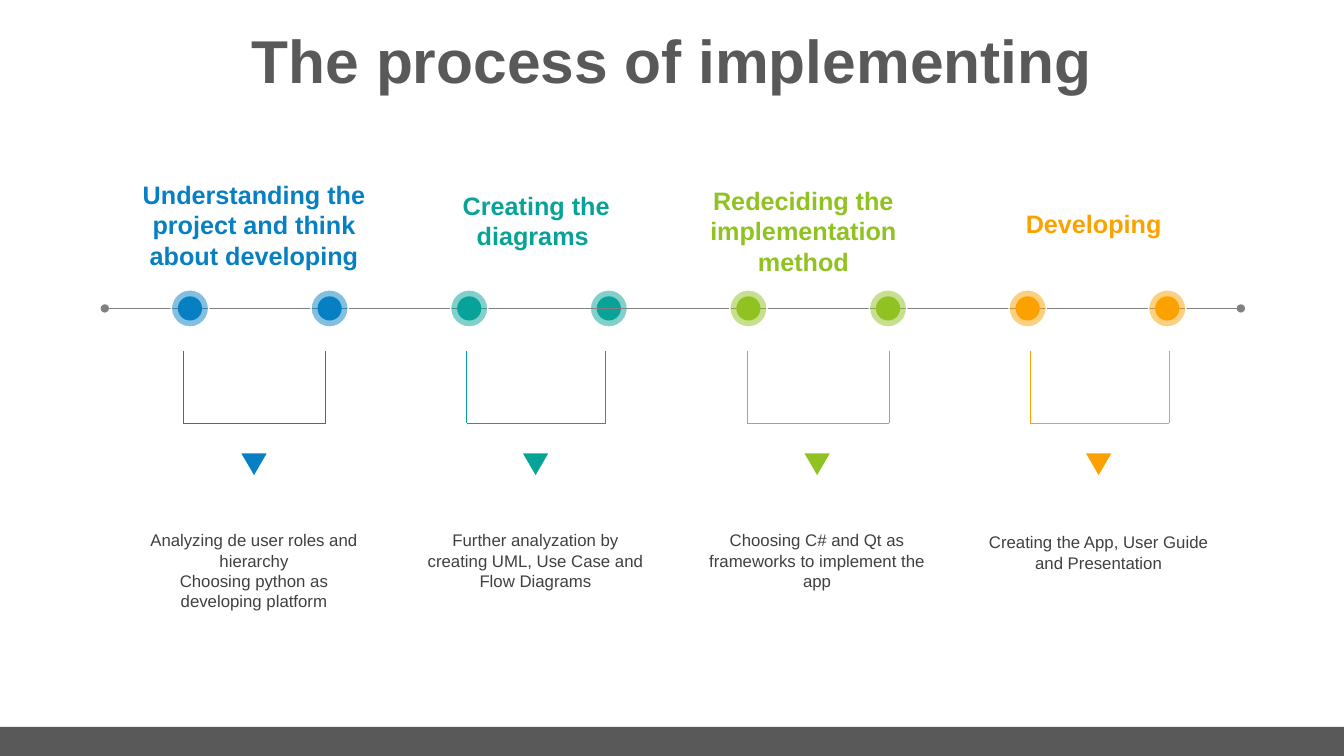
from lxml import etree
from pptx import Presentation
from pptx import util as u
from pptx.dml.color import RGBColor
from pptx.enum import shapes, text
from pptx.oxml import ns

BLUE = RGBColor(0x06, 0x80, 0xC3)
TEAL = RGBColor(0x07, 0xA3, 0x98)
GREEN = RGBColor(0x90, 0xC2, 0x21)
ORANGE = RGBColor(0xFB, 0xA2, 0x00)
DARK = RGBColor(0x59, 0x59, 0x59)
BODY = RGBColor(0x40, 0x40, 0x40)
GRAY = RGBColor(0x80, 0x80, 0x80)
WHITE = RGBColor(0xFF, 0xFF, 0xFF)

# The grid has ten columns and ten rows to the inch
CELL = u.Inches(0.1)
WIDTH, HEIGHT = 133.33, 75
STAGE_LEFT, STAGE_STEP, STAGE_WIDTH = 14, 27.93, 22.4
NODE_FIRST, NODE_STEP, AXIS = 18.85, 13.85, 30.6
HALO, DOT = 3.7, 2.4
BRACKET_TOP, BRACKET_BOTTOM = 34.8, 42
MARKER_TOP, MARKER_WIDTH, MARKER_HEIGHT = 44.9, 2.8, 2.4

# Colour, heading, heading position and height, bracket sides,
# description, description top and height
STAGES = [
    (BLUE, "Understanding the project and think about developing",
     (14, 17.3, 10.1), (18.2, 32.3),
     "Analyzing de user roles and hierarchy\nChoosing python as developing platform",
     (52.1, 9.1)),
    (TEAL, "Creating the diagrams ",
     (42, 18.4, 7.1), (46.3, 60.1),
     "Further analyzation by creating UML, Use Case and Flow Diagrams",
     (52.1, 7.1)),
    (GREEN, "Redeciding the implementation method",
     (68.5, 17.9, 10.1), (74.1, 88.2),
     "Choosing C# and Qt as frameworks to implement the app",
     (52.1, 7.1)),
    (ORANGE, "Developing",
     (97.3, 20.2, 4), (102.2, 116),
     "Creating the App, User Guide and Presentation",
     (52.3, 5)),
]


def grid(*cells):
    return [round(cell * CELL) for cell in cells]


class TimelineSlide:
    font = "Arial"

    def __init__(self, presentation):
        self.slide = presentation.slides.add_slide(presentation.slide_layouts[5])

    def format_text(self, frame, size, color, bold):
        for paragraph in frame.paragraphs:
            paragraph.alignment = text.PP_ALIGN.CENTER
            for run in paragraph.runs:
                run.font.name = self.font
                run.font.size = u.Pt(size)
                run.font.bold = bold
                run.font.color.rgb = color

    def title(self, words, left, top, width, height):
        shape = self.slide.shapes.title
        shape.left, shape.top, shape.width, shape.height = grid(left, top, width, height)
        frame = shape.text_frame
        frame.text = words
        frame.auto_size = text.MSO_AUTO_SIZE.NONE
        frame.vertical_anchor = text.MSO_ANCHOR.MIDDLE
        frame.paragraphs[0].line_spacing = 0.9
        self.format_text(frame, 43.2, DARK, True)

    def label(self, words, left, top, height, size, color, bold=False):
        box = self.slide.shapes.add_textbox(*grid(left, top, STAGE_WIDTH, height))
        frame = box.text_frame
        frame.word_wrap = True
        frame.margin_left = frame.margin_right = 0
        frame.auto_size = text.MSO_AUTO_SIZE.SHAPE_TO_FIT_TEXT
        frame.text = words
        self.format_text(frame, size, color, bold)

    def shape(self, kind, left, top, width, height, color, outlined=False, alpha=None):
        shape = self.slide.shapes.add_shape(kind, *grid(left, top, width, height))
        shape.shadow.inherit = False
        shape.fill.solid()
        shape.fill.fore_color.rgb = color
        if alpha is not None:
            fill_color = shape.fill._xPr.find(".//" + ns.qn("a:srgbClr"))
            etree.SubElement(fill_color, ns.qn("a:alpha"), val=str(alpha * 1000))
        if outlined:
            shape.line.color.rgb = WHITE
            shape.line.width = u.Pt(1)
        else:
            shape.line.fill.background()
        return shape

    def line(self, x1, y1, x2, y2, color, width, oval_ends=False):
        connector = self.slide.shapes.add_connector(
            shapes.MSO_CONNECTOR.STRAIGHT, *grid(x1, y1, x2, y2))
        connector.line.color.rgb = color
        connector.line.width = u.Pt(width)
        if oval_ends:
            outline = connector.line._get_or_add_ln()
            for end in ("a:headEnd", "a:tailEnd"):
                etree.SubElement(outline, ns.qn(end), type="oval")
        etree.SubElement(connector._element.spPr, ns.qn("a:effectLst"))

    def node(self, index):
        center = NODE_FIRST + index * NODE_STEP
        color = STAGES[index // 2][0]
        for size, outlined, alpha in ((HALO, True, 50), (DOT, False, None)):
            self.shape(shapes.MSO_SHAPE.OVAL, center - size / 2, AXIS - size / 2,
                       size, size, color, outlined, alpha)

    def bracket(self, left, right, color):
        for x in (left, right):
            self.line(x, BRACKET_TOP, x, BRACKET_BOTTOM, color, 0.5)
        self.line(right, BRACKET_BOTTOM, left, BRACKET_BOTTOM, color, 0.5)

    def marker(self, center, color):
        triangle = self.shape(shapes.MSO_SHAPE.ISOSCELES_TRIANGLE,
                              center - MARKER_WIDTH / 2, MARKER_TOP,
                              MARKER_WIDTH, MARKER_HEIGHT, color, outlined=True)
        triangle.rotation = 180


def main():
    presentation = Presentation()
    presentation.slide_width, presentation.slide_height = grid(WIDTH, HEIGHT)
    timeline = TimelineSlide(presentation)

    # Footer band and title
    timeline.shape(shapes.MSO_SHAPE.RECTANGLE, 0, 72.1, WIDTH, 2.9, DARK)
    timeline.title("The process of implementing", 0, 2.1, WIDTH, 8.5)

    # Axis runs over the second teal node and under the others
    node_under_axis = 3
    timeline.node(node_under_axis)
    timeline.line(10.4, AXIS, 123.1, AXIS, GRAY, 1.25, oval_ends=True)
    for index in range(2 * len(STAGES)):
        if index != node_under_axis:
            timeline.node(index)

    # Stages: heading, bracket, marker and description
    for index, stage in enumerate(STAGES):
        color, heading, heading_place, sides, description, (top, height) = stage
        left = STAGE_LEFT + index * STAGE_STEP
        timeline.label(heading, *heading_place, 18, color, bold=True)
        timeline.bracket(*sides, color)
        timeline.marker(left + STAGE_WIDTH / 2, color)
        timeline.label(description, left, top, height, 12, BODY)

    presentation.save("out.pptx")


if __name__ == "__main__":
    main()
